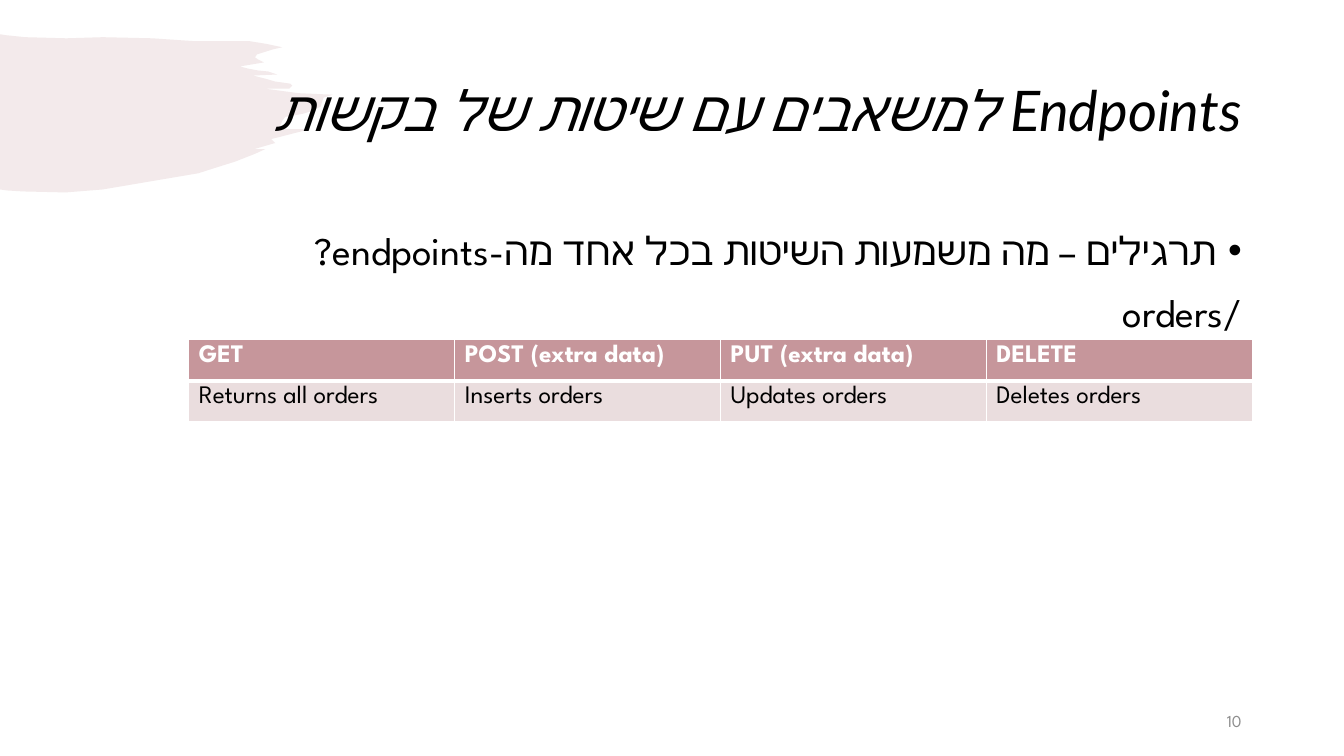
"""Build a right-to-left slide about the request methods of an endpoint."""
from pptx import Presentation
from pptx.dml.color import RGBColor
from pptx.enum.text import MSO_ANCHOR as Anchor, PP_ALIGN as Align
from pptx.oxml.ns import qn
from pptx.util import Pt
from lxml.etree import SubElement

TITLE = "Endpoints למשאבים עם שיטות של בקשות"
QUESTION = "תרגילים – מה משמעות השיטות בכל אחד מה-endpoints?"
RESOURCE = "/orders"
PAGE_NUMBER = "10"
METHODS = [
    ("GET", "POST (extra data)", "PUT (extra data)", "DELETE"),
    ("Returns all orders", "Inserts orders", "Updates orders", "Deletes orders"),
]
COLORS = {"text": "000000", "white": "FFFFFF", "rose": "C6969B",
          "pale": "EADDDE", "grey": "8C8C8C"}
BODY_FONT, TITLE_FONT = "League Spartan", "Lato"
LEFT, WIDTH = 66, 828
TABLE_LEFT, TABLE_TOP, COLUMN_WIDTH, ROW_HEIGHT = 134.9, 242.8, 189.9, 29.2
BRUSH = [
    (0, 24.5), (4.3, 25.2), (18, 26.6), (47.5, 27.4), (73.4, 26.6),
    (108.7, 27.4), (139.7, 29.5), (178.6, 29.5), (190.3, 31.4), (201.6, 33.8),
    (195.1, 35.3), (183.6, 38.9), (182.2, 41), (184.3, 42.5), (188.6, 44.6),
    (171.4, 47.5), (177.1, 49), (184.3, 50.4), (191.5, 51.1), (198, 53.3),
    (180.7, 54), (189.4, 56.2), (196.6, 58.3), (201.6, 59), (207.4, 59.8),
    (208.8, 61.2), (206.6, 63.4), (204.5, 63.4), (189.4, 63.4), (213.2, 66.6),
    (237.6, 67.7), (231.1, 69.8), (229, 76.3), (221, 79.9), (216, 81.4),
    (203.8, 83.5), (201.6, 86.4), (200.2, 90), (197.3, 92.2), (221.8, 92.2),
    (193.7, 99.4), (196.6, 102.2), (181.4, 106.6), (189.4, 106.6), (182, 110),
    (168, 115.5), (152, 120.5), (141.8, 123.8), (73.4, 135.4), (46.8, 137.5),
    (16.6, 136.8), (5, 136.1), (0, 135.4),
]


def color(name):
    return RGBColor.from_string(COLORS[name])


def write(para, text, size, font=BODY_FONT, ink="text", bold=False,
          italic=False, align=Align.LEFT, rtl=False, before=0, spacing=1.0):
    para.alignment = align
    para.space_before = Pt(before)
    para.line_spacing = spacing
    if rtl:
        para._p.get_or_add_pPr().set("rtl", "1")
    span = para.add_run()
    span.text = text
    span.font.size = Pt(size)
    span.font.name = font
    span.font.bold = bold
    span.font.italic = italic
    span.font.color.rgb = color(ink)
    SubElement(span.font._element, qn("a:cs"), typeface=font)


def add_bullet(para, indent):
    properties = para._p.get_or_add_pPr()
    properties.set("marL", str(Pt(indent)))
    properties.set("marR", "0")
    properties.set("indent", str(-Pt(indent)))
    SubElement(properties, qn("a:buFont"), typeface="Arial")
    SubElement(properties, qn("a:buChar"), char="•")


def add_box(page, left, top, width, height, anchor=Anchor.TOP):
    box = page.shapes.add_textbox(Pt(left), Pt(top), Pt(width), Pt(height))
    box.text_frame.word_wrap = True
    box.text_frame.vertical_anchor = anchor
    return box.text_frame


def add_borders(cell, bottom):
    properties = cell._tc.get_or_add_tcPr()
    for side, weight in (("L", 1), ("R", 1), ("T", 1), ("B", bottom)):
        line = SubElement(properties, qn(f"a:ln{side}"), w=str(Pt(weight)))
        fill = SubElement(line, qn("a:solidFill"))
        SubElement(fill, qn("a:srgbClr"), val=COLORS["white"])


def add_brush(page):
    builder = page.shapes.build_freeform(
        Pt(BRUSH[0][0]), Pt(BRUSH[0][1]), scale=1.0)
    builder.add_line_segments([(Pt(x), Pt(y)) for x, y in BRUSH[1:]])
    brush = builder.convert_to_shape()
    brush.shadow.inherit = False
    brush.line.fill.background()
    brush.fill.solid()
    brush.fill.fore_color.rgb = color("rose")
    tint = brush._element.spPr.find(qn("a:solidFill")).find(qn("a:srgbClr"))
    SubElement(tint, qn("a:alpha"), val="20000")
    page.shapes._spTree.remove(brush._element)
    page.shapes._spTree.insert(2, brush._element)


def add_title(page):
    title = page.shapes.title
    title.left, title.top = Pt(LEFT), Pt(28.8)
    title.width, title.height = Pt(WIDTH), Pt(104.4)
    title.text_frame.vertical_anchor = Anchor.MIDDLE
    write(title.text_frame.paragraphs[0], TITLE, 40, font=TITLE_FONT,
          italic=True, align=Align.RIGHT, rtl=True, spacing=0.9)


def add_methods(page):
    columns = len(METHODS[0])
    table = page.shapes.add_table(
        len(METHODS), columns, Pt(TABLE_LEFT), Pt(TABLE_TOP),
        Pt(columns * COLUMN_WIDTH), Pt(len(METHODS) * ROW_HEIGHT)).table
    table.horz_banding = False
    for column in table.columns:
        column.width = Pt(COLUMN_WIDTH)
    for index, texts in enumerate(METHODS):
        header = index == 0
        table.rows[index].height = Pt(ROW_HEIGHT)
        for cell, text in zip(table.rows[index].cells, texts):
            add_borders(cell, bottom=3 if header else 1)
            cell.fill.solid()
            cell.fill.fore_color.rgb = color("rose" if header else "pale")
            write(cell.text_frame.paragraphs[0], text, 18, bold=header,
                  ink="white" if header else "text")


def main():
    deck = Presentation()
    deck.slide_width, deck.slide_height = Pt(960), Pt(540)
    page = deck.slides.add_slide(deck.slide_layouts[5])
    add_brush(page)
    add_title(page)
    body = add_box(page, LEFT, 158.4, WIDTH, 327.6)
    for para, text in ((body.paragraphs[0], QUESTION),
                       (body.add_paragraph(), RESOURCE)):
        write(para, text, 28, align=Align.RIGHT, rtl=True, before=10)
    add_bullet(body.paragraphs[0], 18)
    number = add_box(page, 678, 500.4, 216, 28.8, Anchor.MIDDLE)
    write(number.paragraphs[0], PAGE_NUMBER, 12, ink="grey", align=Align.RIGHT)
    add_methods(page)
    deck.save("out.pptx")


if __name__ == "__main__":
    main()
